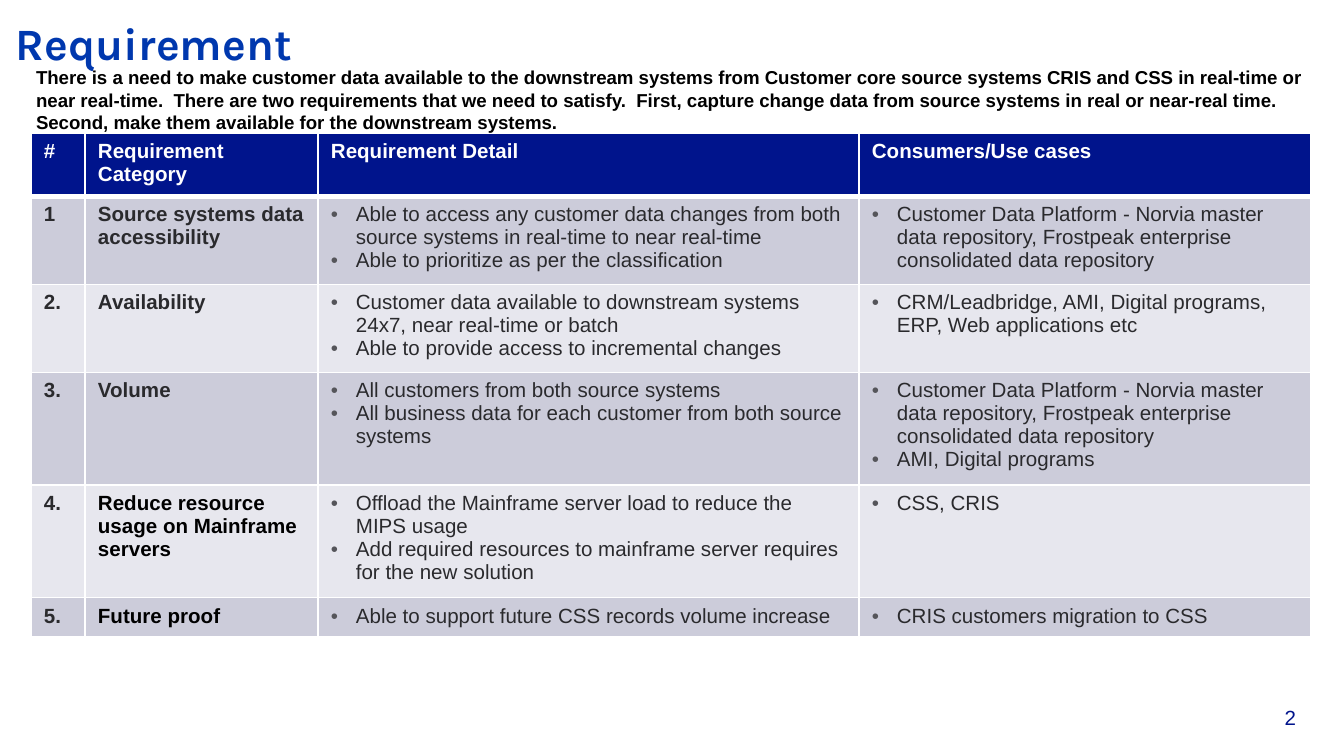
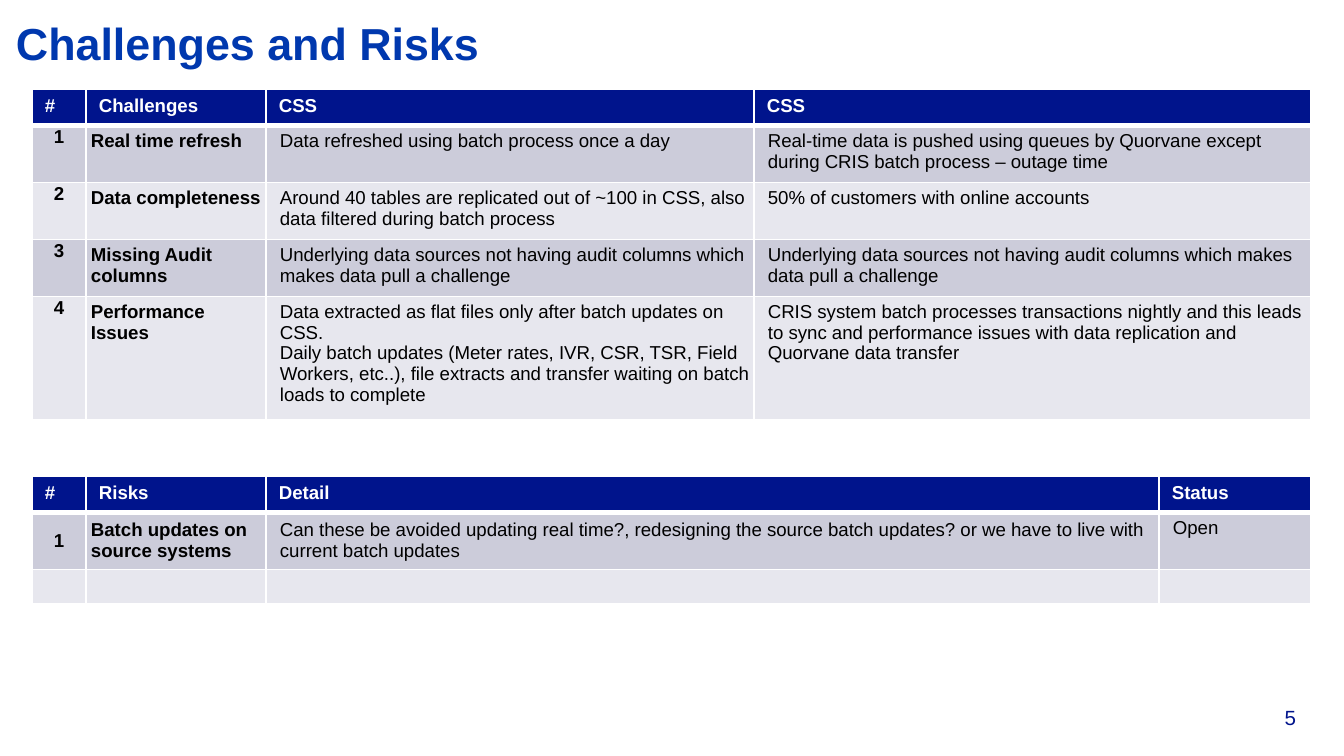
from dataclasses import dataclass
from typing import Optional

from lxml.etree import SubElement
from pptx import Presentation
from pptx.dml.color import RGBColor
from pptx.enum.text import MSO_ANCHOR as Anchor, PP_ALIGN as Align
from pptx.oxml.ns import qn
from pptx.util import Pt

WIDTH, HEIGHT = 1344, 756
SCALE = 9144000 / WIDTH

NAVY, BLUE, WHITE, BLACK = "00148C", "0038AE", "FFFFFF", "000000"
INK, BULLET = "2A2A2D", "55555A"
BANDS = ("CCCCDA", "E7E7EE")
BODY, DISPLAY = "Arial", "Karla"


@dataclass(frozen=True)
class CellStyle:
    color: str = BLACK
    bold: bool = False
    align: Align = Align.LEFT
    anchor: Anchor = Anchor.TOP
    after: float = 0
    left: int = 0
    hang: int = 0
    level: int = 0
    inset: tuple[int, int] = (13, 7)


@dataclass(frozen=True)
class Cell:
    text: str
    style: CellStyle


@dataclass(frozen=True)
class Grid:
    left: int
    top: int
    cols: tuple[int, ...]
    heights: tuple[int, ...]
    size: int
    header: tuple[str, ...]
    rows: list[list[Cell]]


HEADER = CellStyle(WHITE, True, after=6)
LABEL = CellStyle(INK, True, after=6)
DARK_LABEL = CellStyle(BLACK, True, after=6)
BULLETED = CellStyle(INK, left=25, hang=25)
NUMBER = CellStyle(BLACK, True, Align.CENTER, after=6, inset=(1, 1))
MID_NUMBER = CellStyle(BLACK, True, Align.CENTER, Anchor.MIDDLE, 6, inset=(1, 1))
NAME = CellStyle(BLACK, True, after=6, inset=(5, 5))
MID_NAME = CellStyle(BLACK, True, anchor=Anchor.MIDDLE, after=6, inset=(5, 5))
DETAIL = CellStyle(left=9, level=1, inset=(5, 5))
MID_DETAIL = CellStyle(anchor=Anchor.MIDDLE, after=6, left=9, inset=(5, 5))


def px(n: float) -> int:
    return round(n * SCALE)


def rgb(color: str) -> RGBColor:
    return RGBColor.from_string(color)


def write(tf, text: str, *, size: float, color: str, font: str = BODY,
          bold: bool = False, align: Align = Align.LEFT, after: float = 0,
          left: int = 0, hang: int = 0, level: int = 0) -> None:
    for i, line in enumerate(text.split("\n")):
        p = tf.add_paragraph() if i else tf.paragraphs[0]
        p.alignment, p.level = align, level
        p.space_after = Pt(after)
        pPr = p._p.get_or_add_pPr()
        pPr.set("marL", str(px(left)))
        pPr.set("indent", str(-px(hang)))
        if hang:
            clr = SubElement(pPr, qn("a:buClr"))
            SubElement(clr, qn("a:srgbClr"), val=BULLET)
            SubElement(pPr, qn("a:buFont"), typeface=BODY)
            SubElement(pPr, qn("a:buChar"), char="•")
        if not line:
            SubElement(p._p, qn("a:endParaRPr"), sz=str(round(size * 100)))
            continue
        r = p.add_run()
        r.text = line
        r.font.size, r.font.name, r.font.bold = Pt(size), font, bold
        r.font.color.rgb = rgb(color)


def add_text(s, box: tuple[int, int, int, int], text: str, *,
             inset: tuple[int, int] = (0, 0), anchor: Anchor = Anchor.TOP,
             **fmt) -> None:
    tf = s.shapes.add_textbox(*map(px, box)).text_frame
    tf.word_wrap = True
    tf.vertical_anchor = anchor
    tf.margin_left = tf.margin_right = px(inset[0])
    tf.margin_top = tf.margin_bottom = px(inset[1])
    write(tf, text, **fmt)


def set_borders(cell, bottom: float) -> None:
    tcPr = cell._tc.get_or_add_tcPr()
    for i, (side, width) in enumerate(zip("LRTB", (1, 1, 1, bottom))):
        ln = SubElement(tcPr, qn(f"a:ln{side}"), w=str(Pt(width)))
        fill = SubElement(ln, qn("a:solidFill"))
        SubElement(fill, qn("a:srgbClr"), val=WHITE)
        tcPr.insert(i, ln)


def add_grid(s, grid: Grid) -> None:
    rows = [[Cell(t, HEADER) for t in grid.header], *grid.rows]
    box = (grid.left, grid.top, sum(grid.cols), sum(grid.heights))
    table = s.shapes.add_table(len(rows), len(grid.cols), *map(px, box)).table
    for col, width in zip(table.columns, grid.cols):
        col.width = px(width)
    for row, height in zip(table.rows, grid.heights):
        row.height = px(height)
    for i, row in enumerate(rows):
        for j, item in enumerate(row):
            cell, st = table.cell(i, j), item.style
            cell.fill.solid()
            cell.fill.fore_color.rgb = rgb(BANDS[(i - 1) % 2] if i else NAVY)
            cell.margin_left = cell.margin_right = px(st.inset[0])
            cell.margin_top = cell.margin_bottom = px(st.inset[1])
            cell.vertical_anchor = st.anchor
            set_borders(cell, 1 if i else 3)
            write(cell.text_frame, item.text, size=grid.size, color=st.color,
                  bold=st.bold, align=st.align, after=st.after, left=st.left,
                  hang=st.hang, level=st.level)


def add_slide(prs, title: str, number: int, grids: list[Grid],
              font: str = BODY, intro: Optional[str] = None) -> None:
    s = prs.slides.add_slide(prs.slide_layouts[6])
    s.background.fill.solid()
    s.background.fill.fore_color.rgb = rgb(WHITE)
    add_text(s, (1218, 704, 78, 26), str(number), size=11, color=NAVY,
             align=Align.RIGHT, anchor=Anchor.BOTTOM)
    for grid in grids:
        add_grid(s, grid)
    add_text(s, (16, 16, 1326, 55), title, size=24, color=BLUE, font=font,
             bold=True)
    if intro:
        add_text(s, (23, 59, 1312, 90), intro, size=10, color=BLACK,
                 bold=True, after=6, inset=(13, 7))


def styled(rows: list[tuple[str, ...]], *styles: CellStyle) -> list[list[Cell]]:
    return [[Cell(t, st) for t, st in zip(row, styles)] for row in rows]


INTRO = (
    "There is a need to make customer data available to the downstream systems "
    "from Customer core source systems CRIS and CSS in real-time or near "
    "real-time.  There are two requirements that we need to satisfy.  First, "
    "capture change data from source systems in real or near-real time.  "
    "Second, make them available for the downstream systems."
)
PLATFORM = ("Customer Data Platform - Norvia master data repository, Frostpeak "
            "enterprise consolidated data repository")
AUDIT = ("Underlying data sources not having audit columns which makes data "
         "pull a challenge")

requirements = Grid(
    31, 133, (54, 233, 541, 452), (63, 88, 87, 112, 112, 38), 11,
    ("#", "Requirement Category", "Requirement Detail", "Consumers/Use cases"),
    styled([
        ("1", "Source systems data accessibility",
         "Able to access any customer data changes from both source systems in "
         "real-time to near real-time\n"
         "Able to prioritize as per the classification",
         PLATFORM),
        ("2.", "Availability",
         "Customer data available to downstream systems 24x7, near real-time "
         "or batch\nAble to provide access to incremental changes",
         "CRM/Leadbridge, AMI, Digital programs, ERP, Web applications etc"),
        ("3.", "Volume",
         "All customers from both source systems\n"
         "All business data for each customer from both source systems",
         PLATFORM + "\nAMI, Digital programs"),
    ], LABEL, LABEL, BULLETED, BULLETED) + styled([
        ("4.", "Reduce resource usage on Mainframe servers",
         "Offload the Mainframe server load to reduce the MIPS usage\n"
         "Add required resources to mainframe server requires for the new "
         "solution",
         "CSS, CRIS"),
        ("5.", "Future proof",
         "Able to support future CSS records volume increase",
         "CRIS customers migration to CSS"),
    ], LABEL, DARK_LABEL, BULLETED, BULLETED),
)

challenges = Grid(
    32, 89, (54, 180, 488, 557), (35, 57, 57, 57, 123), 10,
    ("#", "Challenges", "CSS", "CSS"),
    styled([
        ("1", "Real time refresh",
         "Data refreshed using batch process once a day",
         "Real-time data is pushed using queues by Quorvane except during "
         "CRIS batch process – outage time"),
        ("2", "Data completeness",
         "Around 40 tables are replicated out of ~100 in CSS, also data "
         "filtered during batch process",
         "50% of customers with online accounts"),
        ("3", "Missing Audit columns", AUDIT, AUDIT),
        ("4", "Performance Issues",
         "Data extracted as flat files only after batch updates on CSS.\n"
         "Daily batch updates (Meter rates, IVR, CSR, TSR, Field Workers, "
         "etc..), file extracts and transfer waiting on batch loads to complete",
         "CRIS system batch processes transactions nightly and this leads to "
         "sync and performance issues with data replication and Quorvane data "
         "transfer"),
    ], NUMBER, NAME, DETAIL, DETAIL),
)

risks = Grid(
    32, 476, (54, 180, 893, 152), (35, 57, 34), 10,
    ("#", "Risks", "Detail", "Status"),
    styled([
        ("1", "Batch updates on source systems",
         "Can these be avoided updating real time?, redesigning the source "
         "batch updates? or we have to live with current batch updates",
         "Open"),
    ], MID_NUMBER, MID_NAME, MID_DETAIL, DETAIL)
    + styled([("",) * 4], *[CellStyle(inset=(5, 5))] * 4),
)

prs = Presentation()
prs.slide_width, prs.slide_height = px(WIDTH), px(HEIGHT)
add_slide(prs, "Requirement", 2, [requirements], font=DISPLAY, intro=INTRO)
add_slide(prs, "Challenges and Risks", 5, [challenges, risks])
prs.save("out.pptx")
